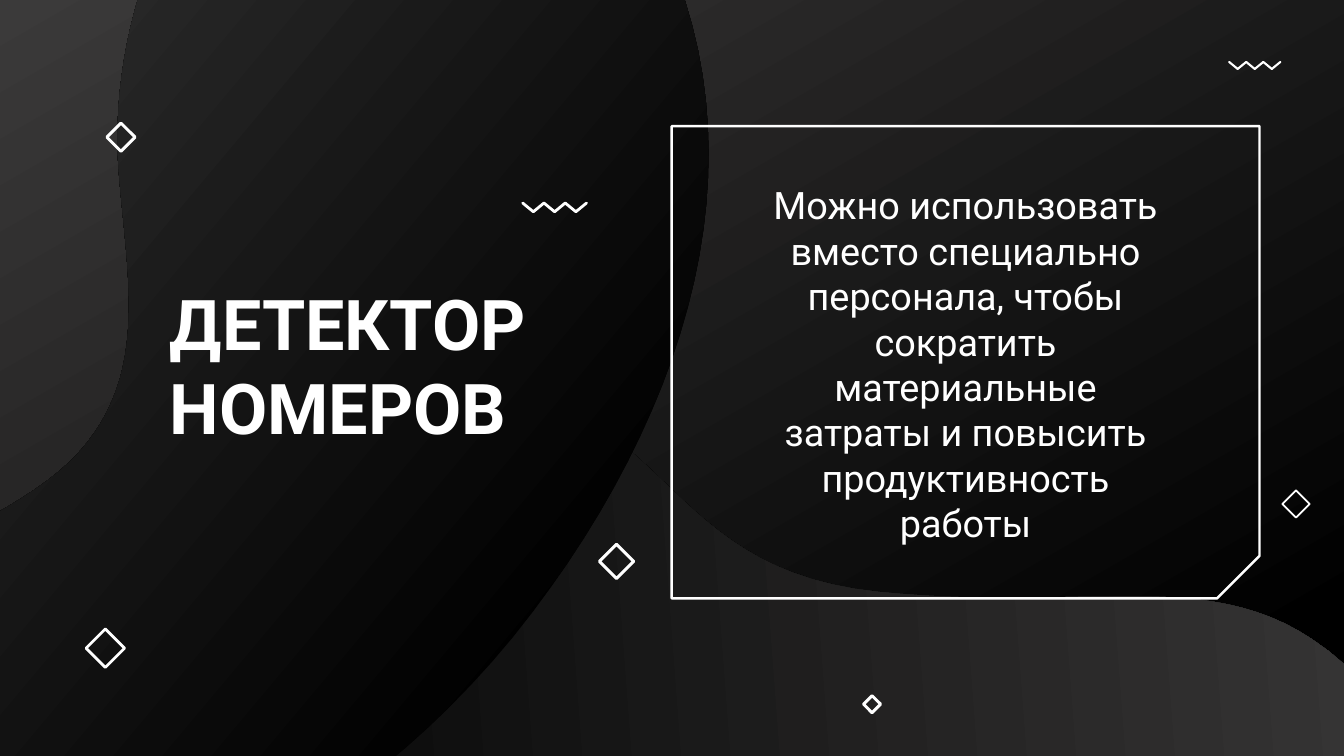
from math import cos, radians, sin

from lxml import etree
from pptx import Presentation
from pptx.dml.color import RGBColor
from pptx.enum.shapes import MSO_SHAPE as Shape
from pptx.enum.text import MSO_ANCHOR as Anchor, PP_ALIGN as Align
from pptx.oxml.ns import qn
from pptx.util import Pt

WIDTH, HEIGHT = 1919.5, 1080
WHITE, BLACK, GREY = "FFFFFF", "000000", "3B3A3A"
CURVE_STEPS = 24

# Each blob is a start point followed by Bezier triples: control, control, end.
LOWER_BLOB = [
    (611, 1412),
    (863, 1707), (872, 1963), (784, 2222),
    (671, 2556), (763, 2737), (912, 2805),
    (1250, 2961), (1382, 2514), (1496, 2147),
    (1525, 2054), (1625, 1802), (1687, 1730),
    (1759, 1646), (1842, 1554), (1901, 1457),
    (2016, 1266), (2077, 1045), (1874, 912),
    (1721, 810), (1544, 874), (1256, 845),
    (971, 816), (962, 617), (749, 560),
    (382, 462), (243, 980), (611, 1412),
]
LEFT_BLOB = [
    (-320, 1012),
    (-236, 800), (4, 765), (112, 647),
    (215, 533), (181, 395), (169, 238),
    (158, 79), (214, -163), (376, -254),
    (571, -364), (881, -302), (978, 0),
    (1069, 283), (971, 596), (761, 874),
    (537, 1170), (230, 1306), (19, 1362),
    (-256, 1436), (-407, 1230), (-320, 1012),
]
LOWER_BLOB_CENTRE = (906.5, 1622.5)
LOWER_BLOB_TURN = 295.7

# centre x, centre y, half diagonal, line width
DIAMONDS = [
    (1851, 720, 19.5, 2.5),
    (150.5, 926, 27.5, 3.9),
    (1245.5, 1006, 12.2, 4.2),
    (172.8, 196, 20.2, 4.2),
    (880.5, 802, 24.5, 4.4),
]
# left, top, step, drop, line width
ZIGZAGS = [
    (746.5, 290, 15.2, 12.5, 4),
    (1755.5, 88.5, 12.2, 10, 3),
]


def color(code):
    return RGBColor.from_string(code)


def set_gradient(shape, stops, angle):
    """Fill with (position, colour) stops; the angle runs clockwise."""
    shape.fill.gradient()
    shape.fill.gradient_angle = 360 - angle
    for stop, (position, code) in zip(shape.fill.gradient_stops, stops):
        stop.position = position
        stop.color.rgb = color(code)
    shape.line.fill.background()
    shape.shadow.inherit = False


def set_outline(shape, width, rounded=False):
    shape.fill.background()
    shape.line.color.rgb = color(WHITE)
    shape.line.width = Pt(width)
    shape.shadow.inherit = False
    if rounded:
        line = shape.line._get_or_add_ln()
        line.set("cap", "rnd")
        etree.SubElement(line, qn("a:round"))


def flatten(curve):
    points = [curve[0]]
    for first in range(1, len(curve), 3):
        corners = [curve[first - 1], *curve[first:first + 3]]
        for step in range(1, CURVE_STEPS + 1):
            t = step / CURVE_STEPS
            weights = ((1 - t) ** 3, 3 * t * (1 - t) ** 2, 3 * t * t * (1 - t), t ** 3)
            points.append(tuple(sum(w * corner[axis] for w, corner in zip(weights, corners))
                                for axis in (0, 1)))
    return points


def turn(points, centre, degrees):
    c, s = cos(radians(degrees)), sin(radians(degrees))
    cx, cy = centre
    return [(cx + (x - cx) * c - (y - cy) * s, cy + (x - cx) * s + (y - cy) * c)
            for x, y in points]


def add_outline(page, points, close):
    start, *rest = [(Pt(x), Pt(y)) for x, y in points]
    builder = page.shapes.build_freeform(*start)
    builder.add_line_segments(rest, close=close)
    return builder.convert_to_shape()


def add_preset(page, kind, left, top, width, height):
    return page.shapes.add_shape(kind, Pt(left), Pt(top), Pt(width), Pt(height))


def add_blob(page, curve, stops, angle, centre=(0, 0), rotation=0):
    """Draw the curve in its own frame, so that the gradient turns with it."""
    blob = add_outline(page, turn(flatten(curve), centre, -rotation), close=True)
    blob.rotation = rotation
    set_gradient(blob, stops, angle)


def add_diamond(page, x, y, radius, width):
    diamond = add_preset(page, Shape.DIAMOND, x - radius, y - radius, 2 * radius, 2 * radius)
    set_outline(diamond, width, rounded=True)


def add_zigzag(page, left, top, step, drop, width):
    points = [(left + i * step, top + i % 2 * drop) for i in range(7)]
    set_outline(add_outline(page, points, close=False), width, rounded=True)


def add_text(page, text, left, top, width, height, size, bold=False, align=Align.LEFT):
    box = page.shapes.add_textbox(Pt(left), Pt(top), Pt(width), Pt(height))
    frame = box.text_frame
    frame.word_wrap = True
    frame.vertical_anchor = Anchor.MIDDLE
    frame.margin_left = frame.margin_right = frame.margin_top = frame.margin_bottom = 0
    para = frame.paragraphs[0]
    para.alignment = align
    para.line_spacing = Pt(size * 1.2)
    span = para.add_run()
    span.text = text
    span.font.name = "Roboto"
    span.font.size = Pt(size)
    span.font.bold = bold
    span.font.color.rgb = color(WHITE)


def main():
    deck = Presentation()
    deck.slide_width, deck.slide_height = Pt(WIDTH), Pt(HEIGHT)
    page = deck.slides.add_slide(deck.slide_layouts[6])

    backdrop = add_preset(page, Shape.RECTANGLE, 0, 0, WIDTH, HEIGHT)
    set_gradient(backdrop, [(0, GREY), (0.91, BLACK)], 60)
    add_blob(page, LOWER_BLOB, [(0.19, BLACK), (1, GREY)], 60,
             LOWER_BLOB_CENTRE, LOWER_BLOB_TURN)
    add_blob(page, LEFT_BLOB, [(0.22, BLACK), (0.98, "3B3B3B")], 220)

    for diamond in DIAMONDS:
        add_diamond(page, *diamond)
    for zigzag in ZIGZAGS:
        add_zigzag(page, *zigzag)

    frame = add_preset(page, Shape.SNIP_1_RECTANGLE, 1041.8, 97.9, 674.6, 839.5)
    frame.rotation = 90
    frame.adjustments[0] = 0.09
    set_outline(frame, 3.5)

    add_text(page, "Можно использовать вместо специально персонала, чтобы сократить "
             "материальные затраты и повысить продуктивность работы",
             1081.4, 257.8, 595.4, 523.4, size=54, align=Align.CENTER)
    add_text(page, "ДЕТЕКТОР НОМЕРОВ", 242.6, 398.9, 595.4, 242.6, size=100, bold=True)

    deck.save("out.pptx")


if __name__ == "__main__":
    main()
